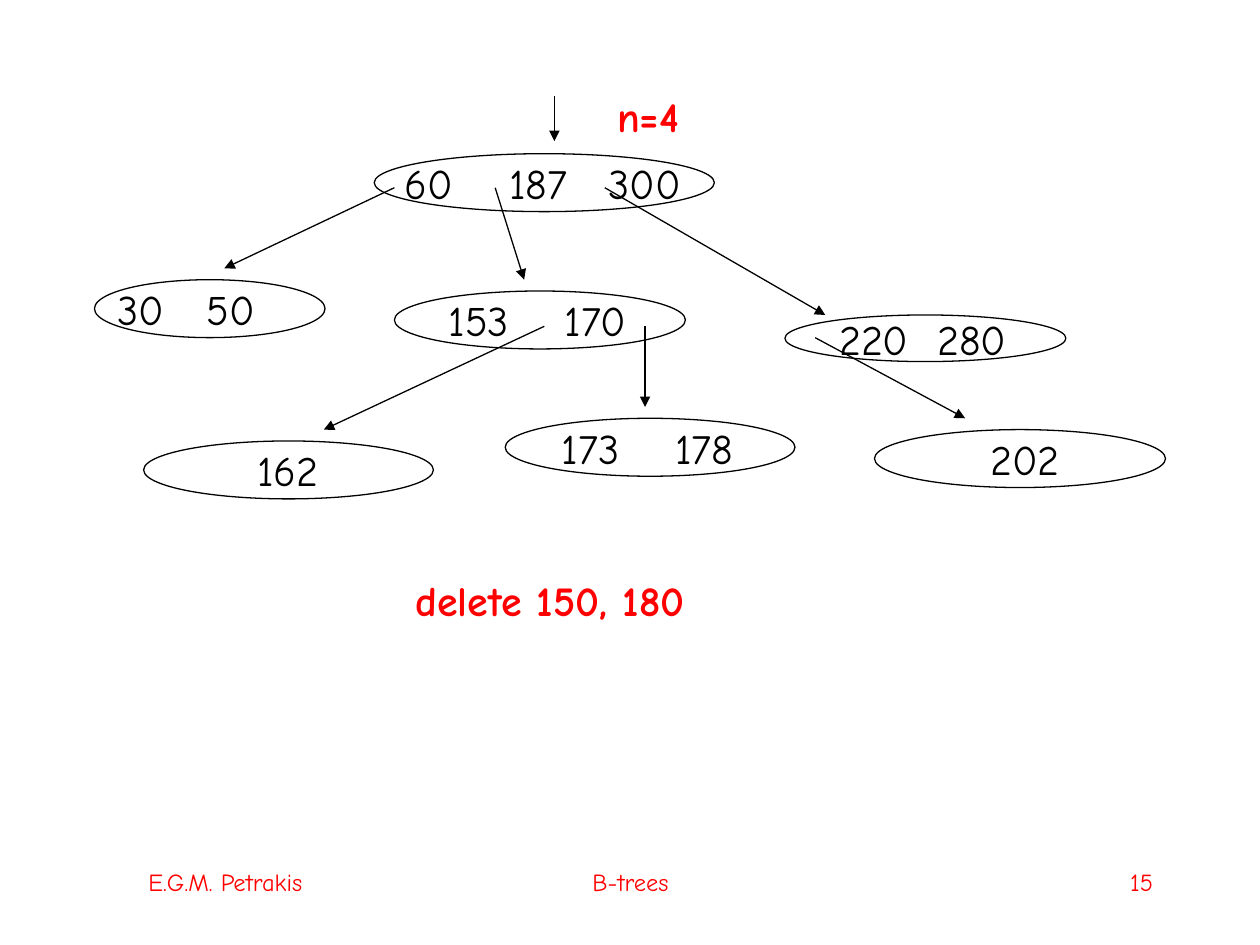
from pptx import Presentation
from pptx.dml.color import RGBColor
from pptx.enum.shapes import MSO_CONNECTOR, MSO_SHAPE
from pptx.enum.text import MSO_ANCHOR, PP_ALIGN
from pptx.oxml.ns import qn
from pptx.util import Inches, Pt
from lxml.etree import SubElement

COLORS = {"ink": "000000", "accent": "FF0000"}
KEY_FORMAT = {"name": "Comic Neue", "size": Pt(24), "bold": False}
LABEL_FORMAT = {"name": "Comic Neue", "size": Pt(24), "bold": True}
FOOTER_FORMAT = {"name": "Comic Neue", "size": Pt(14), "bold": False}
ELLIPSE_INSET = 0.1464  # share of the width outside an ellipse's text area

deck = Presentation()
deck.slide_width, deck.slide_height = Inches(10), Inches(7.5)
page = deck.slides.add_slide(deck.slide_layouts[6])


def write(para, text, font_format, color):
    span = para.add_run()
    span.text = text
    for name, value in font_format.items():
        setattr(span.font, name, value)
    span.font.color.rgb = RGBColor.from_string(COLORS[color])


# Tree nodes: left, top, width, height, then each key with its left edge
nodes = [
    (2.97, 1.22, 2.70, 0.46, [("60", 3.21), ("187", 4.04), ("300", 4.83)]),
    (0.75, 2.22, 1.83, 0.46, [("30", 0.93), ("50", 1.64)]),
    (3.13, 2.31, 2.31, 0.46, [("153", 3.56), ("170", 4.48)]),
    (6.23, 2.50, 2.23, 0.37, [("220", 6.66), ("280", 7.44)]),
    (1.14, 3.50, 2.30, 0.46, [("162", 2.04)]),
    (4.01, 3.32, 2.30, 0.46, [("173", 4.46), ("178", 5.36)]),
    (6.94, 3.41, 2.31, 0.46, [("202", 7.86)]),
]
for left, top, width, height, keys in nodes:
    node = page.shapes.add_shape(MSO_SHAPE.OVAL, Inches(left), Inches(top),
                                 Inches(width), Inches(height))
    node.shadow.inherit = False
    node.fill.background()
    node.line.color.rgb = RGBColor.from_string(COLORS["ink"])
    node.line.width = Pt(0.75)

    # The text starts at the first key; tab stops place the others
    start = keys[0][1]
    inset = ELLIPSE_INSET * width
    frame = node.text_frame
    frame.word_wrap = True
    frame.vertical_anchor = MSO_ANCHOR.MIDDLE
    frame.margin_left = Inches(start - left - inset)
    frame.margin_right = Inches(-inset)
    para = frame.paragraphs[0]
    para.alignment = PP_ALIGN.LEFT
    if len(keys) > 1:
        tabs = SubElement(para._p.get_or_add_pPr(), qn("a:tabLst"))
        for _, position in keys[1:]:
            SubElement(tabs, qn("a:tab"), pos=str(Inches(position - start)), algn="l")
    write(para, "\t".join(key for key, _ in keys), KEY_FORMAT, "ink")

# Pointers: start and end points
pointers = [
    ((4.40, 0.76), (4.40, 1.12)),
    ((3.13, 1.49), (1.78, 2.13)),
    ((3.93, 1.49), (4.16, 2.22)),
    ((4.80, 1.49), (6.55, 2.50)),
    ((4.32, 2.59), (2.57, 3.41)),
    ((5.12, 2.59), (5.12, 3.23)),
    ((6.47, 2.68), (7.66, 3.32)),
]
for begin, end in pointers:
    pointer = page.shapes.add_connector(
        MSO_CONNECTOR.STRAIGHT, *(Inches(value) for value in begin + end))
    pointer.line.color.rgb = RGBColor.from_string(COLORS["ink"])
    pointer.line.width = Pt(0.75)
    SubElement(pointer.line._get_or_add_ln(), qn("a:tailEnd"), type="triangle")
    SubElement(pointer._element.spPr, qn("a:effectLst"))

# Labels and footer
texts = [
    ("n=4", 4.80, 0.67, 0.88, PP_ALIGN.LEFT, LABEL_FORMAT),
    ("delete 150, 180", 1.86, 4.51, 5.01, PP_ALIGN.CENTER, LABEL_FORMAT),
    ("E.G.M. Petrakis", 0.75, 6.83, 2.08, PP_ALIGN.CENTER, FOOTER_FORMAT),
    ("B-trees", 3.42, 6.83, 3.17, PP_ALIGN.CENTER, FOOTER_FORMAT),
    ("15", 7.17, 6.83, 2.08, PP_ALIGN.RIGHT, FOOTER_FORMAT),
]
for text, left, top, width, alignment, font_format in texts:
    box = page.shapes.add_textbox(Inches(left), Inches(top), Inches(width), Inches(0.5))
    box.text_frame.word_wrap = True
    para = box.text_frame.paragraphs[0]
    para.alignment = alignment
    write(para, text, font_format, "accent")

deck.save("out.pptx")
